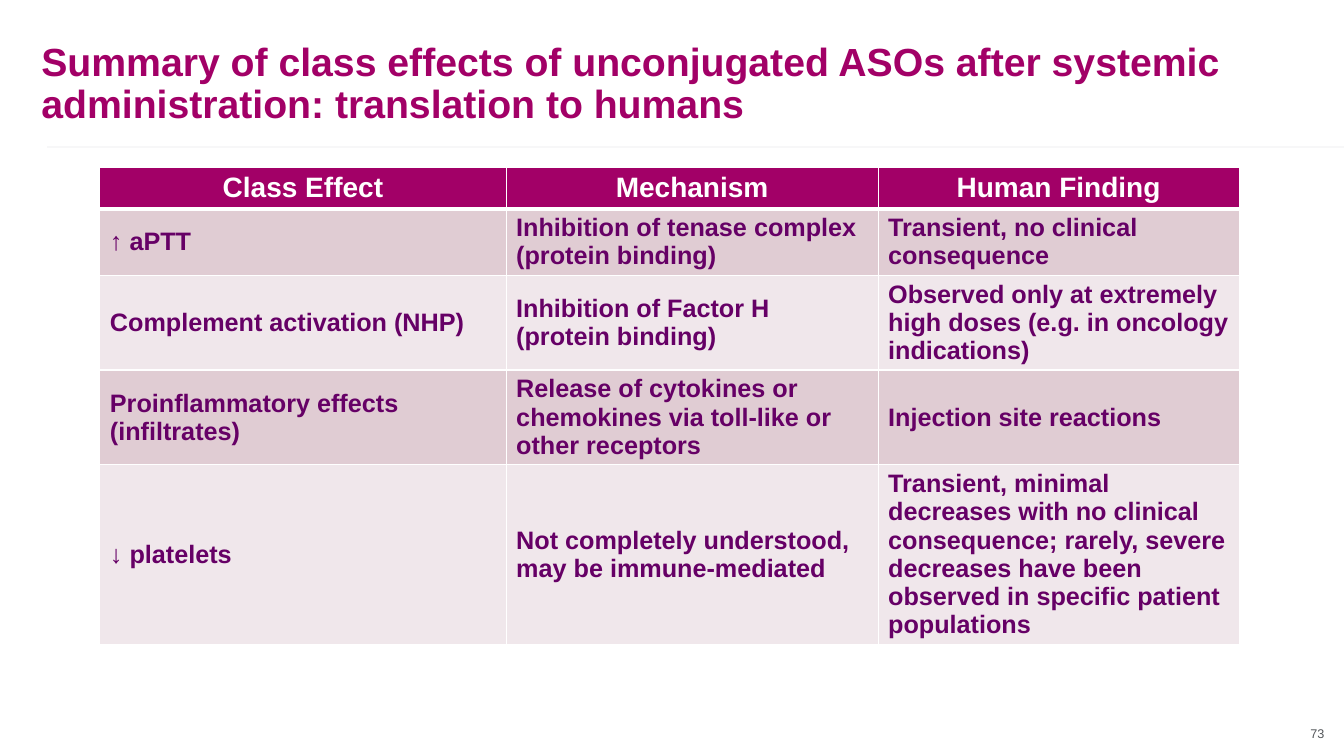
from dataclasses import dataclass

from lxml import etree
from pptx import Presentation
from pptx.dml.color import RGBColor
from pptx.enum.shapes import MSO_CONNECTOR
from pptx.enum.text import MSO_ANCHOR, MSO_AUTO_SIZE, PP_ALIGN
from pptx.oxml.ns import qn
from pptx.util import Inches, Pt

LEFT, CENTER = PP_ALIGN.LEFT, PP_ALIGN.CENTER
TOP, MIDDLE = MSO_ANCHOR.TOP, MSO_ANCHOR.MIDDLE
NO_FIT = MSO_AUTO_SIZE.NONE
STRAIGHT = MSO_CONNECTOR.STRAIGHT

MAGENTA = RGBColor(0xA2, 0x00, 0x67)
PURPLE = RGBColor(0x66, 0x00, 0x66)
ROSE = RGBColor(0xE0, 0xCC, 0xD3)
PALE_ROSE = RGBColor(0xF0, 0xE7, 0xEB)
WHITE = RGBColor(0xFF, 0xFF, 0xFF)
RULE_GRAY = RGBColor(0xF7, 0xF7, 0xF8)
TEXT_GRAY = RGBColor(0x53, 0x56, 0x5A)

FONT = "Arial"
WIDTH, HEIGHT = Inches(13.33), Inches(7.5)


def across(percent: float) -> int:
    return round(WIDTH * percent / 100)


def down(percent: float) -> int:
    return round(HEIGHT * percent / 100)


@dataclass(frozen=True)
class Box:
    left: float
    top: float
    width: float
    height: float

    def emu(self) -> tuple[int, int, int, int]:
        return across(self.left), down(self.top), across(self.width), down(self.height)


@dataclass(frozen=True)
class TextStyle:
    size: float
    color: RGBColor
    bold: bool
    align: PP_ALIGN


@dataclass(frozen=True)
class TableRow:
    height: float
    texts: tuple[str, str, str]


TITLE_STYLE = TextStyle(28, MAGENTA, True, LEFT)
HEADER_STYLE = TextStyle(20, WHITE, True, CENTER)
BODY_STYLE = TextStyle(18, PURPLE, True, LEFT)
NUMBER_STYLE = TextStyle(9, TEXT_GRAY, False, CENTER)

TITLE_BOX = Box(3.08, 5.6, 93.55, 17.07)
NUMBER_BOX = Box(96.02, 95.6, 3.98, 2.8)
RULE_LEFT, RULE_TOP = 3.53, 19.47
TABLE_LEFT, TABLE_TOP = 7.43, 22.13
COLUMN_WIDTHS = (30.23, 27.68, 26.86)

ROWS = (
    TableRow(5.47, ("Class Effect", "Mechanism", "Human Finding")),
    TableRow(8.8, (
        "↑ aPTT",
        "Inhibition of tenase complex (protein binding)",
        "Transient, no clinical consequence",
    )),
    TableRow(12.53, (
        "Complement activation (NHP)",
        "Inhibition of Factor H (protein binding)",
        "Observed only at extremely high doses (e.g. in oncology indications)",
    )),
    TableRow(12.53, (
        "Proinflammatory effects (infiltrates)",
        "Release of cytokines or chemokines via toll-like or other receptors",
        "Injection site reactions",
    )),
    TableRow(23.6, (
        "↓ platelets",
        "Not completely understood, may be immune-mediated",
        "Transient, minimal decreases with no clinical consequence; rarely, "
        "severe decreases have been observed in specific patient populations",
    )),
)


def write(tf, text: str, style: TextStyle):
    p = tf.paragraphs[0]
    p.alignment = style.align
    r = p.add_run()
    r.text = text
    r.font.name = FONT
    r.font.size = Pt(style.size)
    r.font.bold = style.bold
    r.font.color.rgb = style.color
    return p


def frame(tf, anchor: MSO_ANCHOR) -> None:
    tf.word_wrap = True
    tf.auto_size = NO_FIT
    tf.vertical_anchor = anchor
    tf.margin_left = tf.margin_right = tf.margin_top = tf.margin_bottom = 0


def add_rule(s) -> None:
    y = down(RULE_TOP)
    line = s.shapes.add_connector(STRAIGHT, across(RULE_LEFT), y, WIDTH, y)
    line.line.color.rgb = RULE_GRAY
    line.line.width = Pt(1)
    etree.SubElement(line._element.spPr, qn("a:effectLst"))


def add_number(s, number: str) -> None:
    sp = s.shapes.add_textbox(*NUMBER_BOX.emu())
    frame(sp.text_frame, MIDDLE)
    write(sp.text_frame, number, NUMBER_STYLE)


def set_title(s, text: str) -> None:
    sp = s.shapes.title
    sp.left, sp.top, sp.width, sp.height = TITLE_BOX.emu()
    frame(sp.text_frame, TOP)
    write(sp.text_frame, text, TITLE_STYLE).line_spacing = 0.9


def set_borders(cell, bottom: float) -> None:
    tc_pr = cell._tc.get_or_add_tcPr()
    widths = {"lnL": 1, "lnR": 1, "lnT": 1, "lnB": bottom}
    for index, (side, width) in enumerate(widths.items()):
        ln = etree.Element(qn(f"a:{side}"), w=str(Pt(width)))
        fill = etree.SubElement(ln, qn("a:solidFill"))
        etree.SubElement(fill, qn("a:srgbClr"), val=str(WHITE))
        tc_pr.insert(index, ln)


def add_effects_table(s) -> None:
    box = Box(TABLE_LEFT, TABLE_TOP, sum(COLUMN_WIDTHS), sum(row.height for row in ROWS))
    table = s.shapes.add_table(len(ROWS), len(COLUMN_WIDTHS), *box.emu()).table
    for column, width in zip(table.columns, COLUMN_WIDTHS):
        column.width = across(width)
    for i, row in enumerate(ROWS):
        header = i == 0
        fill = MAGENTA if header else (PALE_ROSE, ROSE)[i % 2]
        table.rows[i].height = down(row.height)
        for j, text in enumerate(row.texts):
            cell = table.cell(i, j)
            cell.vertical_anchor = MIDDLE
            cell.fill.solid()
            cell.fill.fore_color.rgb = fill
            set_borders(cell, 3 if header else 1)
            write(cell.text_frame, text, HEADER_STYLE if header else BODY_STYLE)


def main() -> None:
    prs = Presentation()
    prs.slide_width, prs.slide_height = WIDTH, HEIGHT
    s = prs.slides.add_slide(prs.slide_layouts[5])
    add_rule(s)
    add_number(s, "73")
    set_title(s, "Summary of class effects of unconjugated ASOs after systemic "
                 "administration: translation to humans")
    add_effects_table(s)
    prs.save("out.pptx")


if __name__ == "__main__":
    main()
